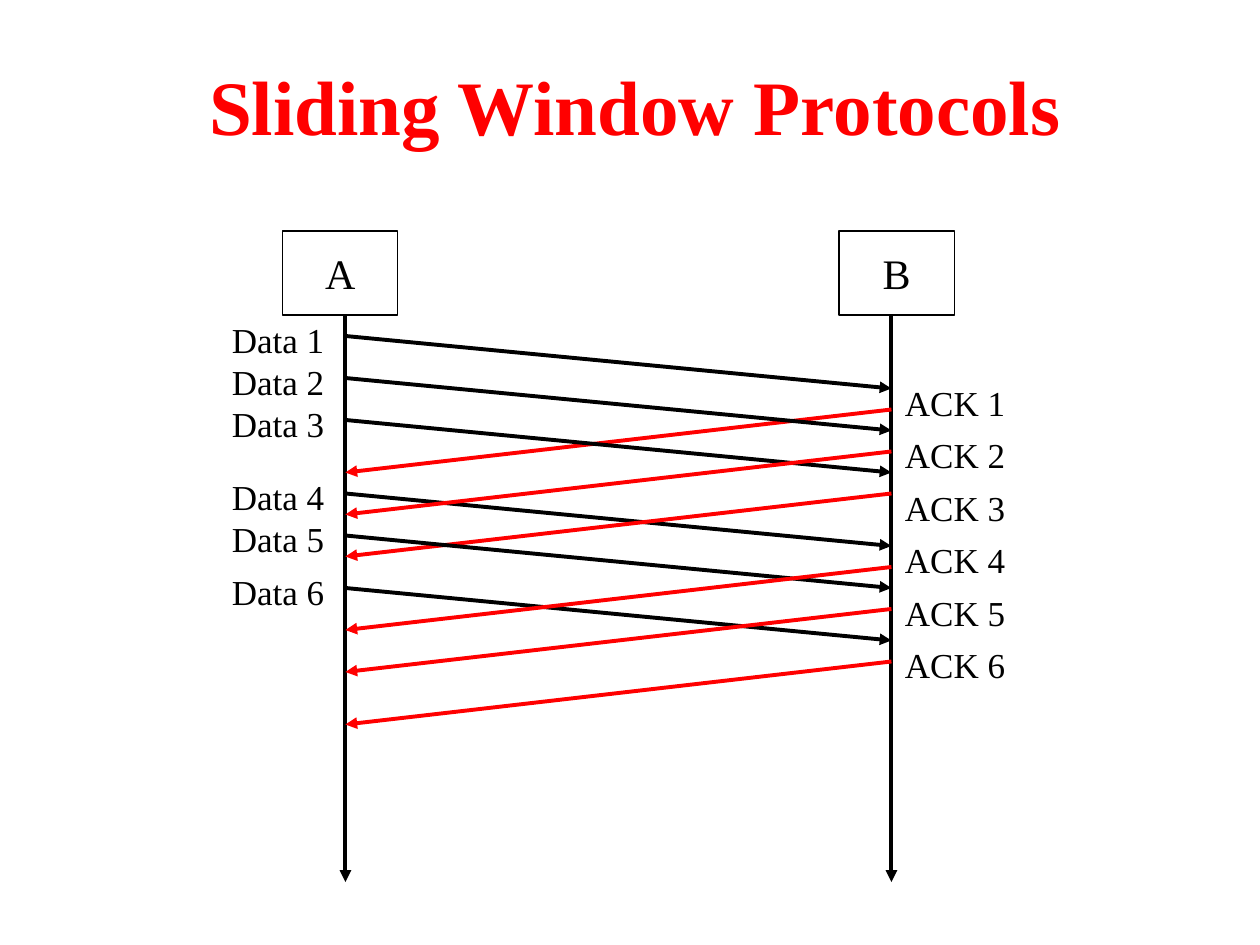
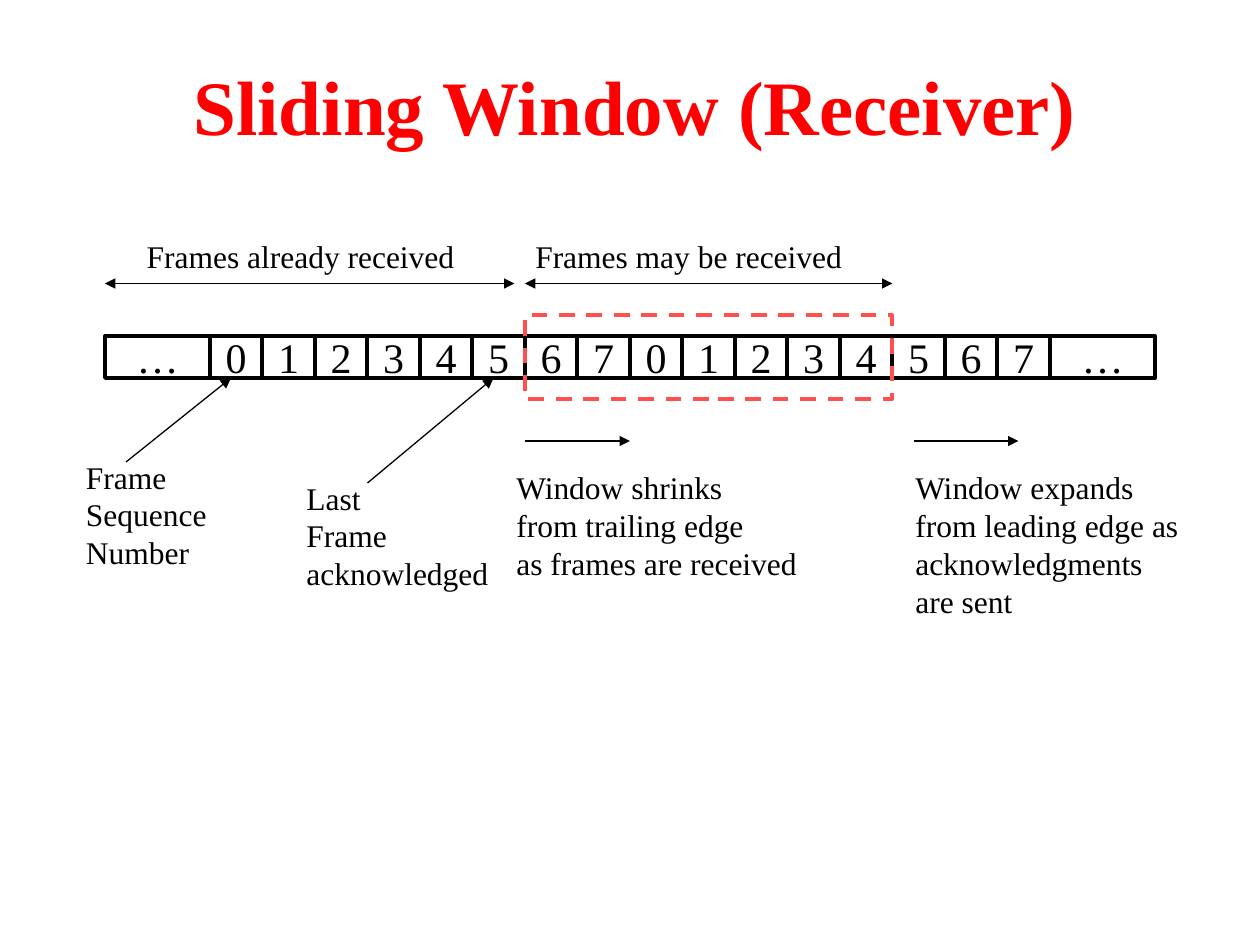
"""Build two slides on sliding window protocols."""
from typing import NamedTuple

from lxml import etree
from pptx import Presentation
from pptx.dml.color import RGBColor
from pptx.enum.dml import MSO_LINE
from pptx.enum.shapes import MSO_CONNECTOR, MSO_SHAPE
from pptx.enum.text import MSO_ANCHOR, MSO_AUTO_SIZE, PP_ALIGN
from pptx.oxml.ns import qn
from pptx.util import Pt

PX = 7620
FONT = "Times New Roman"
BLACK, RED, CORAL = "000000", "FF0000", "FF5050"
THIN, THICK = 0.75, 2.25
LEFT, CENTER = PP_ALIGN.LEFT, PP_ALIGN.CENTER
TOP, MIDDLE = MSO_ANCHOR.TOP, MSO_ANCHOR.MIDDLE
FIT, FIXED = MSO_AUTO_SIZE.SHAPE_TO_FIT_TEXT, MSO_AUTO_SIZE.NONE
RECT, STRAIGHT, DASH = MSO_SHAPE.RECTANGLE, MSO_CONNECTOR.STRAIGHT, MSO_LINE.DASH

A_X, B_X = 329, 849
ROW_X, ROW_Y, CELL_W, CELL_H = 100, 320, 50, 40


class Box(NamedTuple):
    x: int
    y: int
    w: int
    h: int


class Note(NamedTuple):
    text: str
    box: Box


class Arrow(NamedTuple):
    x1: int
    y1: int
    x2: int
    y2: int
    both: bool = False


class Msg(NamedTuple):
    kind: str
    num: int
    y: int


MSGS = [
    Msg("Data", 1, 320), Msg("ACK", 1, 390), Msg("Data", 4, 470),
    Msg("Data", 2, 360), Msg("Data", 3, 400), Msg("ACK", 2, 430),
    Msg("ACK", 3, 470), Msg("Data", 5, 510), Msg("Data", 6, 560),
    Msg("ACK", 4, 540), Msg("ACK", 5, 580), Msg("ACK", 6, 630),
]

NOTES = [
    Note("Frames already received", Box(128, 220, 326, 48)),
    Note("Frames may be received", Box(498, 220, 326, 48)),
    Note("Frame\nSequence\nNumber", Box(70, 430, 150, 120)),
    Note("Last\nFrame\nacknowledged", Box(280, 450, 208, 120)),
    Note("Window shrinks\nfrom trailing edge\nas frames are received",
         Box(480, 440, 302, 120)),
    Note("Window expands\nfrom leading edge as\nacknowledgments\nare sent",
         Box(860, 440, 286, 156)),
]

ARROWS = [
    Arrow(100, 270, 490, 270, True), Arrow(500, 270, 850, 270, True),
    Arrow(120, 440, 220, 360), Arrow(350, 460, 470, 360),
    Arrow(500, 420, 600, 420), Arrow(870, 420, 970, 420),
]


def emu(*nums: int) -> list[int]:
    return [n * PX for n in nums]


def paint(target, color: str) -> None:
    target.rgb = RGBColor.from_string(color)


def write(shape, text: str, *, size: int, color: str = BLACK, bold: bool = False,
          align=LEFT, anchor=TOP, wrap: bool = True, fit=FIXED) -> None:
    frame = shape.text_frame
    frame.word_wrap, frame.auto_size = wrap, fit
    frame.vertical_anchor = anchor
    frame.text = text
    for para in frame.paragraphs:
        para.alignment = align
        for run in para.runs:
            run.font.name, run.font.size, run.font.bold = FONT, Pt(size), bold
            paint(run.font.color, color)


def label(slide, note: Note, size: int) -> None:
    write(slide.shapes.add_textbox(*emu(*note.box)), note.text, size=size, fit=FIT)


def frame_box(slide, box: Box, width: float, color: str = BLACK):
    shape = slide.shapes.add_shape(RECT, *emu(*box))
    shape.shadow.inherit = False
    shape.fill.background()
    shape.line.width = Pt(width)
    paint(shape.line.color, color)
    return shape


def cell(slide, text: str, box: Box, width: float) -> None:
    write(frame_box(slide, box, width), text, size=24, align=CENTER,
          anchor=MIDDLE, wrap=False)


def draw(slide, arrow: Arrow, width: float, color: str = BLACK) -> None:
    line = slide.shapes.add_connector(STRAIGHT, *emu(*arrow[:4]))
    line.line.width = Pt(width)
    paint(line.line.color, color)
    for end in ("a:headEnd", "a:tailEnd") if arrow.both else ("a:tailEnd",):
        etree.SubElement(line.get_or_add_ln(), qn(end), type="triangle")
    etree.SubElement(line.element.spPr, qn("a:effectLst"))


def new_slide(deck, title: str):
    slide = deck.slides.add_slide(deck.slide_layouts[6])
    write(slide.shapes.add_textbox(*emu(60, 50, 1090, 100)), title, size=44,
          color=RED, bold=True, align=CENTER, anchor=MIDDLE)
    return slide


def protocols(deck) -> None:
    slide = new_slide(deck, "Sliding Window Protocols")
    for name, box_x, x in (("A", 269, A_X), ("B", 799, B_X)):
        cell(slide, name, Box(box_x, 220, 110, 80), THIN)
        draw(slide, Arrow(x, 300, x, 840), THICK)
    for kind, num, y in MSGS:
        text = f"{kind} {num}"
        if kind == "Data":
            draw(slide, Arrow(A_X, y, B_X, y + 50), THICK)
            label(slide, Note(text, Box(209, y - 23, 120, 53)), 20)
        else:
            draw(slide, Arrow(B_X, y, A_X, y + 60), THICK, RED)
            label(slide, Note(text, Box(850, 307 + 50 * num, 130, 53)), 20)


def receiver(deck) -> None:
    slide = new_slide(deck, "Sliding Window (Receiver)")
    x = ROW_X
    for text in "…0123456701234567…":
        w = 2 * CELL_W if text == "…" else CELL_W
        cell(slide, text, Box(x, ROW_Y, w, CELL_H), THICK)
        x += w
    window = Box(ROW_X + 8 * CELL_W, ROW_Y - 20, 7 * CELL_W, CELL_H + 40)
    frame_box(slide, window, THICK, CORAL).line.dash_style = DASH
    for arrow in ARROWS:
        draw(slide, arrow, THIN)
    for note in NOTES:
        label(slide, note, 18)


def main() -> None:
    deck = Presentation()
    deck.slide_width, deck.slide_height = emu(1200, 900)
    protocols(deck)
    receiver(deck)
    deck.save("out.pptx")


if __name__ == "__main__":
    main()
